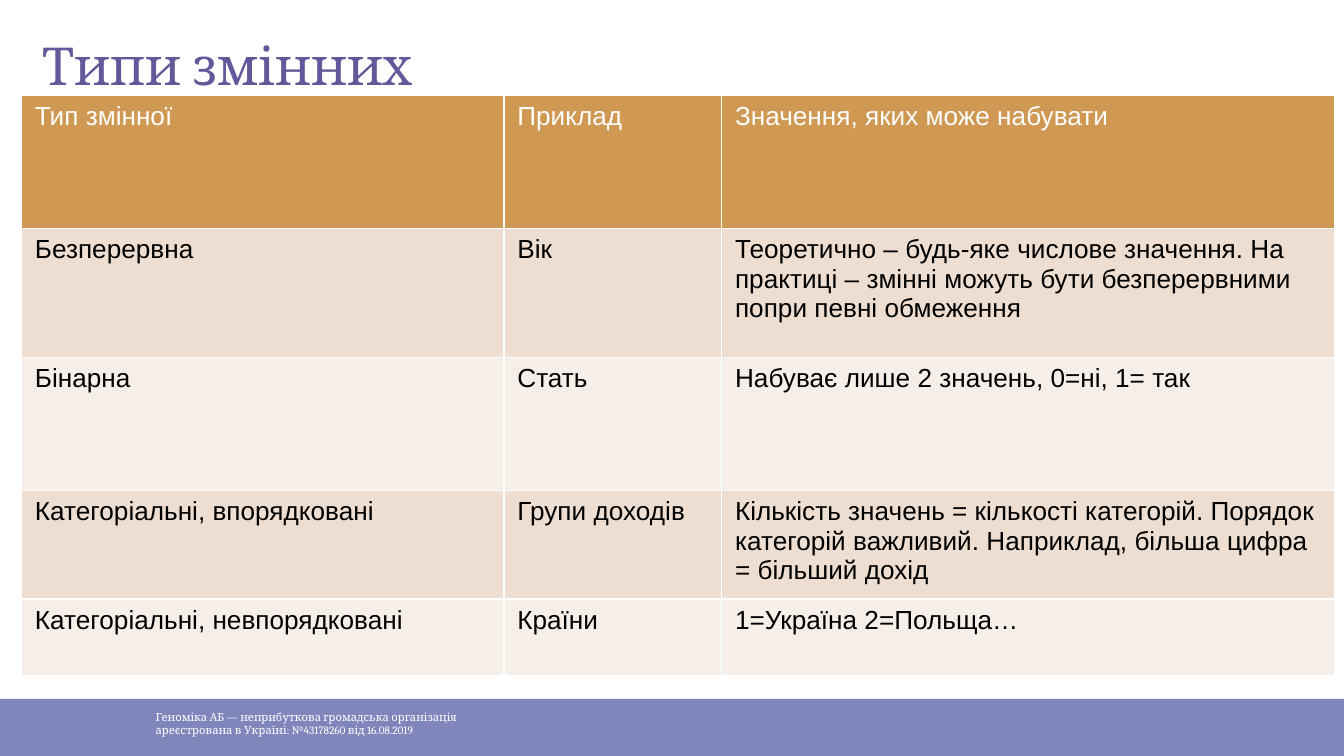
from lxml import etree
from pptx import Presentation
from pptx.dml.color import RGBColor
from pptx.enum.shapes import MSO_SHAPE
from pptx.enum.text import MSO_ANCHOR
from pptx.oxml.ns import qn
from pptx.util import Inches, Pt

RECTANGLE = MSO_SHAPE.RECTANGLE
TOP, MIDDLE = MSO_ANCHOR.TOP, MSO_ANCHOR.MIDDLE

# Content
TITLE = "Типи змінних"
FOOTER = [
    "Геноміка АБ — неприбуткова громадська організація",
    "ареєстрована в Україні: №43178260 від 16.08.2019",
]
VARIABLE_TYPES = [
    ("Тип змінної", "Приклад", "Значення, яких може набувати"),
    ("Безперервна", "Вік",
     "Теоретично – будь-яке числове значення. На практиці – змінні можуть "
     "бути безперервними попри певні обмеження"),
    ("Бінарна", "Стать", "Набуває лише 2 значень, 0=ні, 1= так"),
    ("Категоріальні, впорядковані", "Групи доходів",
     "Кількість значень = кількості категорій. Порядок категорій важливий. "
     "Наприклад, більша цифра = більший дохід"),
    ("Категоріальні, невпорядковані", "Країни", "1=Україна 2=Польща…"),
]
SLIDE_WIDTH = 10
SLIDE_HEIGHT = SLIDE_WIDTH * 9 / 16
FOOTER_TOP = 5.2
COLUMN_WIDTHS = [3.59, 1.62, 4.56]
ROW_HEIGHTS = [0.99, 0.96, 0.99, 0.81, 0.57]
COLORS = {
    "white": "FFFFFF",
    "black": "000000",
    "title": "635899",
    "footer": "8086BC",
    "header": "CF9953",
    "odd_row": "EDDED1",
    "even_row": "F6EFE9",
}


def rgb(name):
    return RGBColor.from_string(COLORS[name])


def style_font(paragraph, face, size, color):
    paragraph.font.name = face
    paragraph.font.size = Pt(size)
    paragraph.font.color.rgb = rgb(color)


def add_text(slide, box, lines, size, color, anchor):
    frame = slide.shapes.add_textbox(*map(Inches, box)).text_frame
    frame.word_wrap = True
    frame.vertical_anchor = anchor
    frame.margin_left = frame.margin_right = Inches(0.1)
    frame.margin_top = frame.margin_bottom = Inches(0.1)
    frame.text = "\n".join(lines)
    for paragraph in frame.paragraphs:
        style_font(paragraph, "Cambria", size, color)


def add_borders(cell):
    properties = cell._tc.get_or_add_tcPr()
    for side in "LRTB":
        line = etree.SubElement(properties, qn(f"a:ln{side}"), w=str(Pt(1)))
        fill = etree.SubElement(line, qn("a:solidFill"))
        etree.SubElement(fill, qn("a:srgbClr"), val=COLORS["white"])


presentation = Presentation()
presentation.slide_width = Inches(SLIDE_WIDTH)
presentation.slide_height = Inches(SLIDE_HEIGHT)
slide = presentation.slides.add_slide(presentation.slide_layouts[6])

# Footer band
band = slide.shapes.add_shape(
    RECTANGLE, 0, Inches(FOOTER_TOP),
    Inches(SLIDE_WIDTH), Inches(SLIDE_HEIGHT - FOOTER_TOP))
band.shadow.inherit = False
band.fill.solid()
band.fill.fore_color.rgb = rgb("footer")
band.line.fill.background()
add_text(slide, (1.06, 5.15, 2.73, 0.47), FOOTER, 6, "white", MIDDLE)

# Title
add_text(slide, (0.22, 0.15, 9.32, 0.63), [TITLE], 28, "title", TOP)

# Table of variable types
table = slide.shapes.add_table(
    len(ROW_HEIGHTS), len(COLUMN_WIDTHS), Inches(0.16), Inches(0.71),
    Inches(sum(COLUMN_WIDTHS)), Inches(sum(ROW_HEIGHTS))).table
for column, width in zip(table.columns, COLUMN_WIDTHS):
    column.width = Inches(width)
for row, height in zip(table.rows, ROW_HEIGHTS):
    row.height = Inches(height)

for r, texts in enumerate(VARIABLE_TYPES):
    is_header = r == 0
    row_fill = "header" if is_header else "odd_row" if r % 2 else "even_row"
    for c, text in enumerate(texts):
        cell = table.cell(r, c)
        add_borders(cell)
        cell.fill.solid()
        cell.fill.fore_color.rgb = rgb(row_fill)
        cell.text = text
        paragraph = cell.text_frame.paragraphs[0]
        style_font(paragraph, "Arial", 14, "white" if is_header else "black")
        paragraph.font.bold = False

presentation.save("out.pptx")
